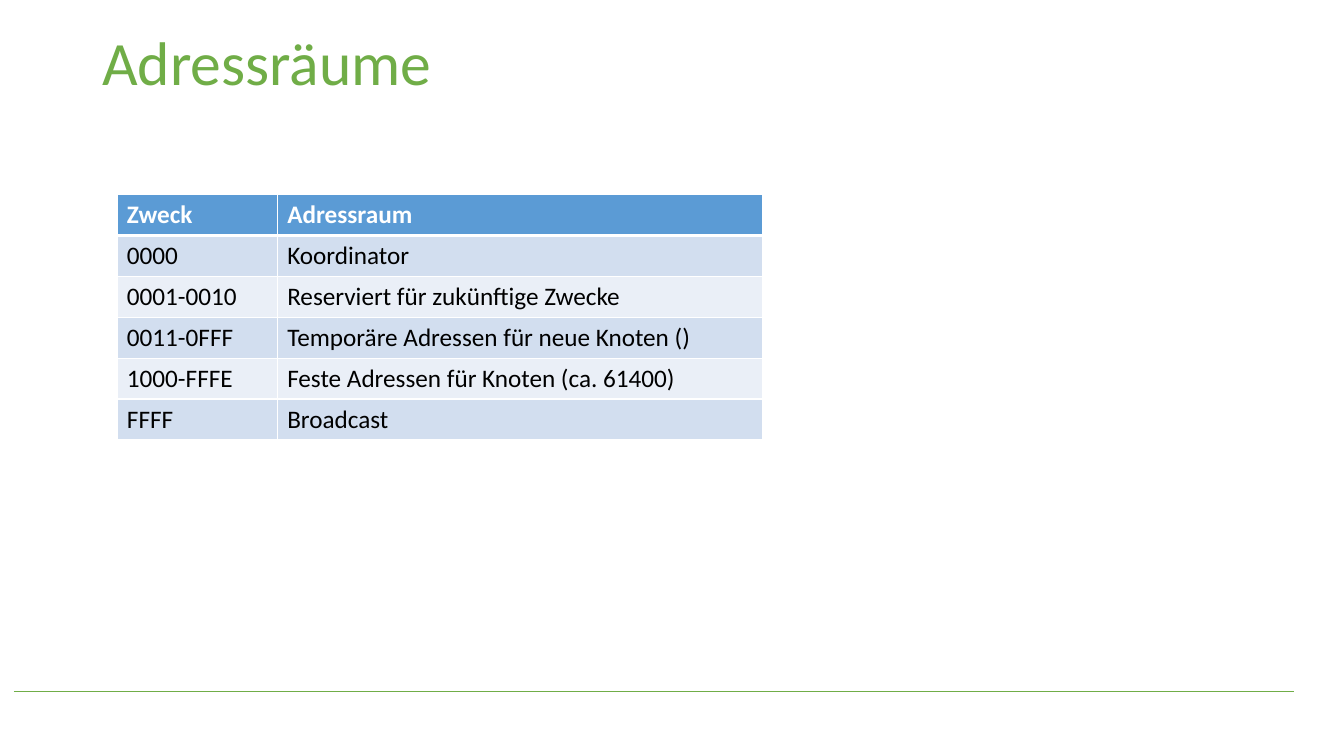
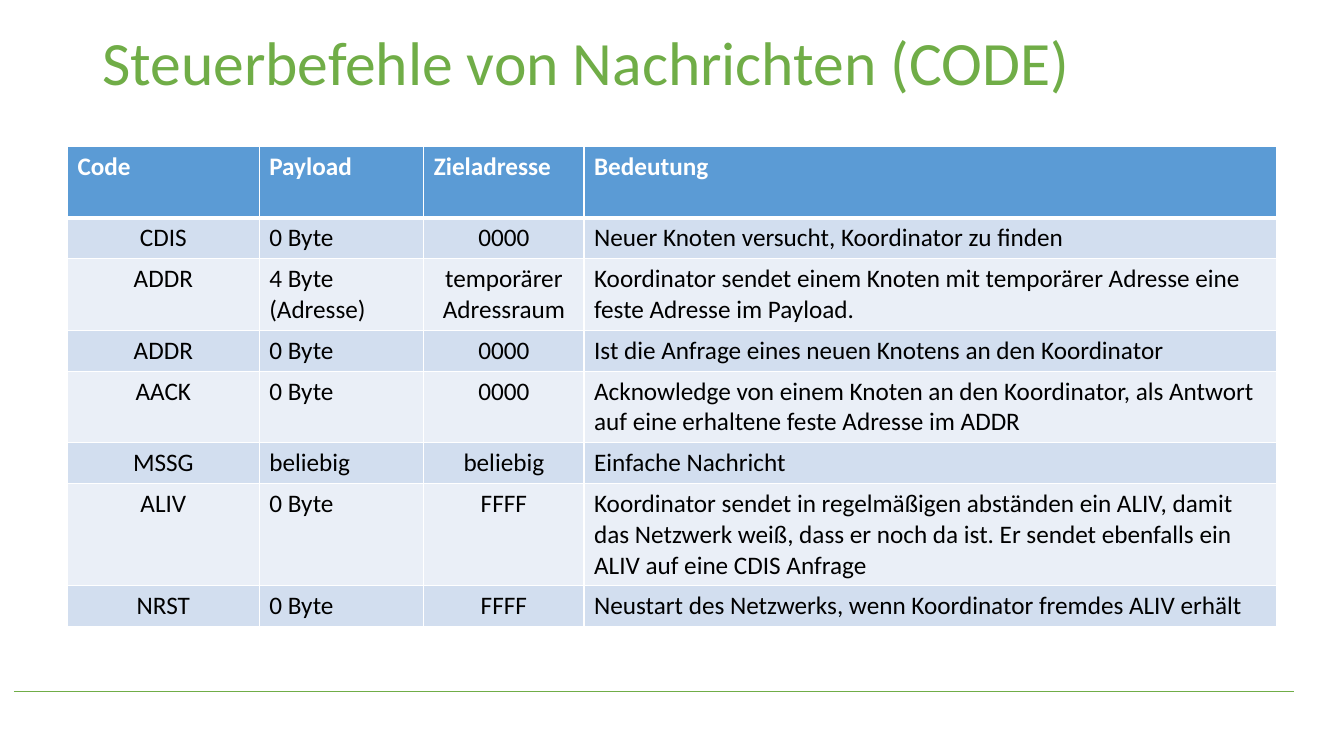
from dataclasses import dataclass

from lxml import etree
from pptx import Presentation
from pptx.dml.color import RGBColor
from pptx.enum.shapes import MSO_CONNECTOR
from pptx.enum.text import MSO_ANCHOR, PP_ALIGN
from pptx.oxml.ns import qn
from pptx.util import Pt

LEFT = PP_ALIGN.LEFT
CENTER = PP_ALIGN.CENTER
TOP = MSO_ANCHOR.TOP
STRAIGHT = MSO_CONNECTOR.STRAIGHT

FONT = "Calibri"
GREEN = "70AD47"
BLUE = "5B9BD5"
WHITE = "FFFFFF"
BLACK = "000000"
BANDS = ("D2DEEF", "EAEFF7")

ROW_HEIGHT = 29.2
LINE_HEIGHT = 21.9
THIN = 1
THICK = 3


@dataclass(frozen=True)
class Column:
    heading: str
    width: float
    align: PP_ALIGN = LEFT


@dataclass(frozen=True)
class Row:
    cells: tuple[str, ...]
    lines: int = 1


@dataclass(frozen=True)
class TablePage:
    title: str
    left: float
    top: float
    columns: tuple[Column, ...]
    rows: tuple[Row, ...]
    header_lines: int = 1


PAGES = (
    TablePage(
        title="Adressräume",
        left=83.5,
        top=139,
        columns=(Column("Zweck", 114.5), Column("Adressraum", 347)),
        rows=(
            Row(("0000", "Koordinator")),
            Row(("0001-0010", "Reserviert für zukünftige Zwecke")),
            Row(("0011-0FFF", "Temporäre Adressen für neue Knoten ()")),
            Row(("1000-FFFE", "Feste Adressen für Knoten (ca. 61400)")),
            Row(("FFFF", "Broadcast")),
        ),
    ),
    TablePage(
        title="Steuerbefehle von Nachrichten (CODE)",
        left=48.2,
        top=104.5,
        columns=(
            Column("Code", 137, CENTER),
            Column("Payload", 117.5),
            Column("Zieladresse", 114.5, CENTER),
            Column("Bedeutung", 494.6),
        ),
        header_lines=2,
        rows=(
            Row(("CDIS", "0 Byte", "0000", "Neuer Knoten versucht, Koordinator zu finden")),
            Row(
                (
                    "ADDR",
                    "4 Byte (Adresse)",
                    "temporärer Adressraum",
                    "Koordinator sendet einem Knoten mit temporärer Adresse eine\n"
                    "feste Adresse im Payload.",
                ),
                lines=2,
            ),
            Row(("ADDR", "0 Byte", "0000", "Ist die Anfrage eines neuen Knotens an den Koordinator")),
            Row(
                (
                    "AACK",
                    "0 Byte",
                    "0000",
                    "Acknowledge von einem Knoten an den Koordinator, als Antwort "
                    "auf eine erhaltene feste Adresse im ADDR",
                ),
                lines=2,
            ),
            Row(("MSSG", "beliebig", "beliebig", "Einfache Nachricht")),
            Row(
                (
                    "ALIV",
                    "0 Byte",
                    "FFFF",
                    "Koordinator sendet in regelmäßigen abständen ein ALIV, damit "
                    "das Netzwerk weiß, dass er noch da ist. Er sendet ebenfalls ein "
                    "ALIV auf eine CDIS Anfrage",
                ),
                lines=3,
            ),
            Row(("NRST", "0 Byte", "FFFF", "Neustart des Netzwerks, wenn Koordinator fremdes ALIV erhält")),
        ),
    ),
)


def color(value: str) -> RGBColor:
    return RGBColor.from_string(value)


def write_text(frame, text: str, *, size: float = 18, fill: str = BLACK, bold: bool = False,
               align: PP_ALIGN = LEFT, spacing: float = 1.0) -> None:
    frame.word_wrap = True
    for index, line in enumerate(text.split("\n")):
        para = frame.add_paragraph() if index else frame.paragraphs[0]
        para.alignment = align
        para.line_spacing = spacing
        span = para.add_run()
        span.text = line
        span.font.name = FONT
        span.font.size = Pt(size)
        span.font.bold = bold
        span.font.color.rgb = color(fill)


def add_title(page, text: str) -> None:
    box = page.shapes.add_textbox(Pt(66), Pt(19.5), Pt(828), Pt(104.5))
    box.text_frame.vertical_anchor = TOP
    write_text(box.text_frame, text, size=44, fill=GREEN, spacing=0.9)


def add_footer_line(page) -> None:
    line = page.shapes.add_connector(STRAIGHT, Pt(10), Pt(494), Pt(924.5), Pt(494))
    line.line.color.rgb = color(GREEN)
    line.line.width = Pt(0.5)
    etree.SubElement(line._element.spPr, qn("a:effectLst"))


def set_borders(cell, *, top: float, bottom: float) -> None:
    properties = cell._tc.get_or_add_tcPr()
    widths = {"a:lnL": THIN, "a:lnR": THIN, "a:lnT": top, "a:lnB": bottom}
    for tag, width in widths.items():
        border = etree.SubElement(properties, qn(tag), w=str(Pt(width)))
        fill = etree.SubElement(border, qn("a:solidFill"))
        etree.SubElement(fill, qn("a:srgbClr"), val=WHITE)


def add_table(page, content: TablePage) -> None:
    header = Row(tuple(column.heading for column in content.columns), content.header_lines)
    rows = (header, *content.rows)
    heights = [ROW_HEIGHT + (row.lines - 1) * LINE_HEIGHT for row in rows]
    width = sum(column.width for column in content.columns)
    table = page.shapes.add_table(
        len(rows), len(content.columns),
        Pt(content.left), Pt(content.top), Pt(width), Pt(sum(heights)),
    ).table
    for index, column in enumerate(content.columns):
        table.columns[index].width = Pt(column.width)
    for row_index, row in enumerate(rows):
        table.rows[row_index].height = Pt(heights[row_index])
        is_header = row_index == 0
        background = BLUE if is_header else BANDS[(row_index - 1) % 2]
        for column_index, column in enumerate(content.columns):
            cell = table.cell(row_index, column_index)
            set_borders(
                cell,
                top=THICK if row_index == 1 else THIN,
                bottom=THICK if is_header else THIN,
            )
            cell.fill.solid()
            cell.fill.fore_color.rgb = color(background)
            write_text(
                cell.text_frame,
                row.cells[column_index],
                fill=WHITE if is_header else BLACK,
                bold=is_header,
                align=LEFT if is_header else column.align,
            )


def build() -> None:
    deck = Presentation()
    deck.slide_width = Pt(960)
    deck.slide_height = Pt(540)
    blank = deck.slide_layouts[6]
    for content in PAGES:
        page = deck.slides.add_slide(blank)
        add_footer_line(page)
        add_title(page, content.title)
        add_table(page, content)
    deck.save("out.pptx")


build()
